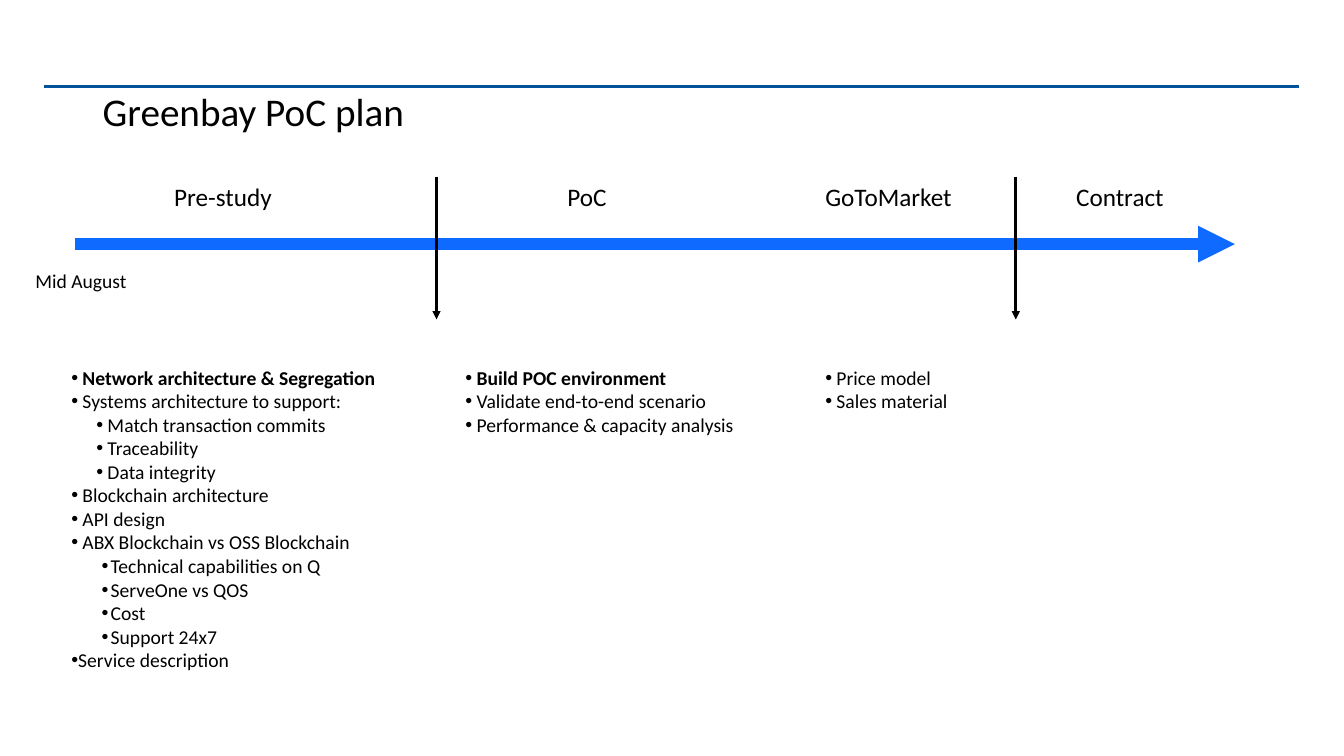
"""Build the PoC plan slide: a phase timeline with bulleted work items."""
from dataclasses import dataclass

import lxml.etree
import pptx
import pptx.dml.color
import pptx.enum.shapes
import pptx.enum.text
import pptx.oxml.ns
import pptx.util
from pptx.util import Cm

BLACK = pptx.dml.color.RGBColor(0x00, 0x00, 0x00)
NAVY = pptx.dml.color.RGBColor(0x00, 0x52, 0x9B)
BLUE = pptx.dml.color.RGBColor(0x0F, 0x6B, 0xFF)
FONT = "Calibri"
PHASE_TOP = 4.45
LIST_TOP = 9.09


@dataclass(frozen=True)
class Bullet:
    level: int
    margin: float
    hanging: float


MAIN = Bullet(0, 0.28, 0.28)
SUB = Bullet(1, 0.91, 0.28)
DETAIL = Bullet(1, 0.99, 0.23)
FLUSH = Bullet(0, 0, 0)


@dataclass(frozen=True)
class Item:
    text: str
    bullet: Bullet | None = MAIN
    bold: bool = False


@dataclass(frozen=True)
class Label:
    text: str
    left: float
    width: float


@dataclass(frozen=True)
class WorkList:
    left: float
    width: float
    height: float
    items: tuple[Item, ...]


@dataclass(frozen=True)
class Line:
    x1: float
    y1: float
    x2: float
    y2: float
    color: pptx.dml.color.RGBColor
    weight: float
    arrow: bool = True


PHASES = (
    Label("Pre-study", 4.14, 3.25),
    Label("PoC", 14.05, 1.75),
    Label("GoToMarket", 20.55, 4.01),
    Label("Contract", 26.87, 2.95),
)

WORK_LISTS = (
    WorkList(1.55, 9.25, 8.03, (
        Item("Network architecture & Segregation", bold=True),
        Item("Systems architecture to support:"),
        Item("Match transaction commits", SUB),
        Item("Traceability", SUB),
        Item("Data integrity", SUB),
        Item("Blockchain architecture"),
        Item("API design"),
        Item("ABX Blockchain vs OSS Blockchain"),
        Item("Technical capabilities on Q", DETAIL),
        Item("ServeOne vs QOS", DETAIL),
        Item("Cost", DETAIL),
        Item("Support 24x7", DETAIL),
        Item("Service description", FLUSH),
    )),
    WorkList(11.48, 8, 3.25, (
        Item("Build POC environment", bold=True),
        Item("Validate end-to-end scenario"),
        Item("Performance & capacity analysis"),
    )),
    WorkList(20.55, 3.94, 2.06, (
        Item("Price model"),
        Item("Sales material"),
    )),
)

LINES = (
    Line(1.12, 2.18, 32.74, 2.18, NAVY, 1.5, arrow=False),
    Line(1.9, 6.15, 31.12, 6.15, BLUE, 8.75),
    *(Line(x, PHASE_TOP, x, 8.05, BLACK, 2) for x in (11, 25.6)),
)


def add_line(s: pptx.slide.Slide, line: Line) -> None:
    """Draw a straight line, with an arrowhead at its end if asked."""
    sp = s.shapes.add_connector(
        pptx.enum.shapes.MSO_CONNECTOR.STRAIGHT,
        Cm(line.x1), Cm(line.y1), Cm(line.x2), Cm(line.y2))
    sp.line.color.rgb = line.color
    sp.line.width = pptx.util.Pt(line.weight)
    if line.arrow:
        ln = sp.line.color and sp.element.spPr.find(pptx.oxml.ns.qn("a:ln"))
        lxml.etree.SubElement(ln, pptx.oxml.ns.qn("a:tailEnd"), type="triangle")
    lxml.etree.SubElement(sp.element.spPr, pptx.oxml.ns.qn("a:effectLst"))


def set_bullet(p: pptx.text.text._Paragraph, bullet: Bullet) -> None:
    """Give a paragraph its bullet and hanging indent."""
    p.level = bullet.level
    pPr = p._p.get_or_add_pPr()
    pPr.set("marL", str(Cm(bullet.margin)))
    pPr.set("indent", str(-Cm(bullet.hanging)))
    lxml.etree.SubElement(pPr, pptx.oxml.ns.qn("a:buFont"), typeface="Arial")
    lxml.etree.SubElement(pPr, pptx.oxml.ns.qn("a:buChar"), char="•")


def add_text(s: pptx.slide.Slide, items: tuple[Item, ...], *, left: float,
             top: float, width: float, height: float, size: float = 14,
             wrap: bool = False, middle: bool = False,
             spacing: float | None = None) -> None:
    """Place a text box with one paragraph for each item."""
    tf = s.shapes.add_textbox(Cm(left), Cm(top), Cm(width), Cm(height)).text_frame
    tf.word_wrap = wrap
    anchors = pptx.enum.text.MSO_ANCHOR
    tf.vertical_anchor = anchors.MIDDLE if middle else anchors.TOP
    for i, item in enumerate(items):
        p = tf.add_paragraph() if i else tf.paragraphs[0]
        if item.bullet:
            set_bullet(p, item.bullet)
        if spacing:
            p.line_spacing = spacing
        r = p.add_run()
        r.text = item.text
        r.font.name = FONT
        r.font.size = pptx.util.Pt(size)
        r.font.bold = item.bold
        r.font.color.rgb = BLACK


def main() -> None:
    """Build and save the slide."""
    prs = pptx.Presentation()
    prs.slide_width, prs.slide_height = Cm(33.87), Cm(19.05)
    s = prs.slides.add_slide(prs.slide_layouts[6])
    for line in LINES:
        add_line(s, line)
    add_text(s, (Item("Greenbay PoC plan", None),), left=2.34, top=1.02,
             width=29.21, height=3.68, size=28, wrap=True, middle=True, spacing=0.9)
    for phase in PHASES:
        add_text(s, (Item(phase.text, None),), left=phase.left, top=PHASE_TOP,
                 width=phase.width, height=1.02, size=18)
    add_text(s, (Item("Mid August", None),), left=0.64, top=6.65,
             width=2.97, height=0.86)
    for work in WORK_LISTS:
        add_text(s, work.items, left=work.left, top=LIST_TOP,
                 width=work.width, height=work.height)
    prs.save("out.pptx")


if __name__ == "__main__":
    main()
